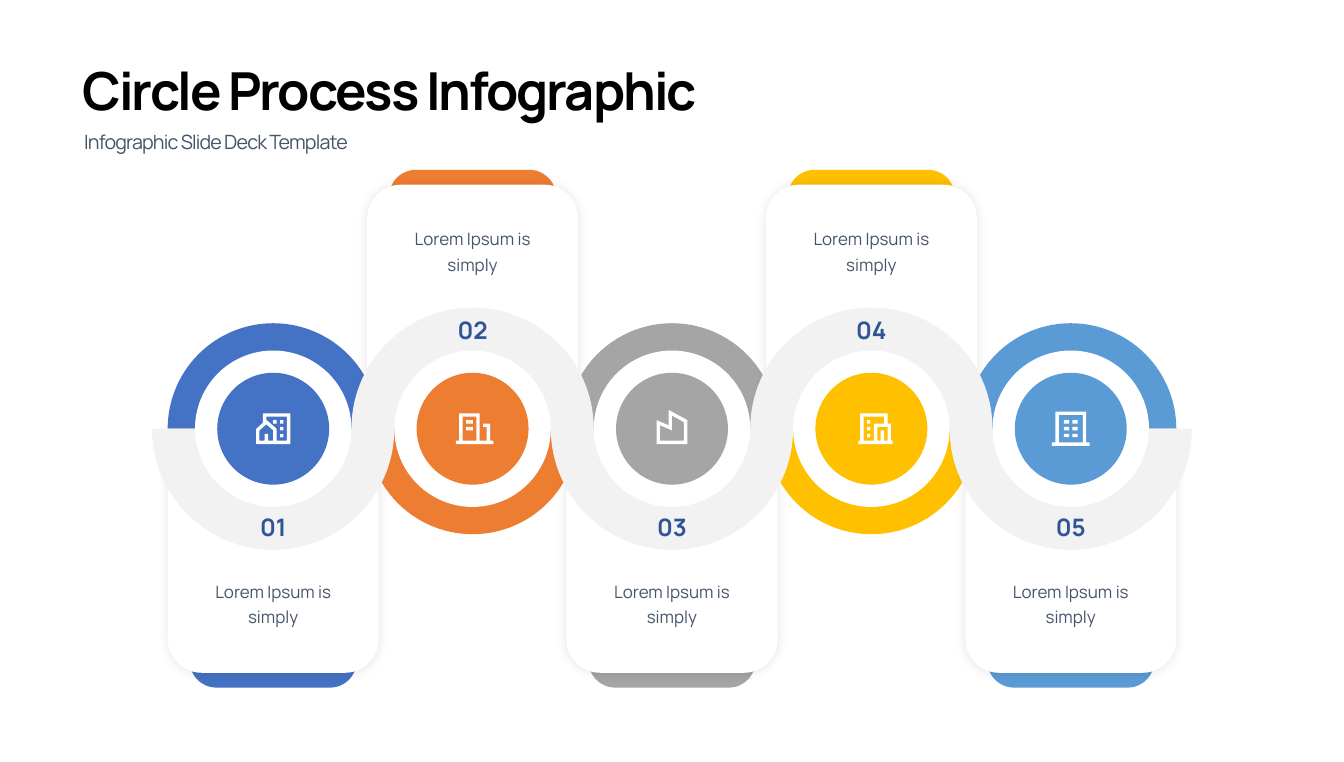
from math import cos, pi, sin

from lxml import etree
from pptx import Presentation
from pptx.dml.color import RGBColor
from pptx.enum.shapes import MSO_SHAPE
from pptx.enum.text import MSO_ANCHOR, MSO_AUTO_SIZE, PP_ALIGN
from pptx.oxml.ns import qn
from pptx.util import Cm, Pt

TOP, MIDDLE = MSO_ANCHOR.TOP, MSO_ANCHOR.MIDDLE
LEFT, CENTER = PP_ALIGN.LEFT, PP_ALIGN.CENTER
OVAL, CHORD = MSO_SHAPE.OVAL, MSO_SHAPE.CHORD
ROUND_TOP = MSO_SHAPE.ROUND_2_SAME_RECTANGLE
NO_FIT = MSO_AUTO_SIZE.NONE

BLACK = RGBColor(0x00, 0x00, 0x00)
WHITE = RGBColor(0xFF, 0xFF, 0xFF)
SLATE = RGBColor(0x44, 0x54, 0x6A)
NAVY = RGBColor(0x2F, 0x55, 0x97)
LIGHT = RGBColor(0xF2, 0xF2, 0xF2)
BLUE = RGBColor(0x44, 0x72, 0xC4)
ORANGE = RGBColor(0xED, 0x7D, 0x31)
GRAY = RGBColor(0xA5, 0xA5, 0xA5)
GOLD = RGBColor(0xFF, 0xC0, 0x00)
SKY = RGBColor(0x5B, 0x9B, 0xD5)
COLORS = [BLUE, ORANGE, GRAY, GOLD, SKY]

# Distances in cm
SLIDE_W, SLIDE_H = 67, 38
CY = 21.38
OUTER, INNER, DISC = 6.04, 3.9, 2.79
PITCH = OUTER + INNER
CARD_W, CARD_H, CARD_RADIUS = 10.52, 12.17, 1.68
TAB_W, TAB_H, TAB_RADIUS, TAB_EDGE = 8.32, 3, 1.33, 0.74
NUMBER_W, NUMBER_H, NUMBER_OFFSET = 3.64, 1.45, 4.92
LABEL_W, LABEL_H = 7.54, 2.74
ICON_UNIT = 2.05 / 24

# Icon outlines on a 24-unit grid; windows are (left, top, width) and 2 high
HOME = [[(21.7, 21), (2.3, 21), (2, 20.7), (2, 12.2), (6, 8.54), (6, 3.3), (6.3, 3),
         (21.7, 3), (22, 3.3), (22, 20.7)],
        [(9, 19), (12, 19), (12, 12.94), (8, 9.45), (4, 12.94), (4, 19), (7, 19),
         (7, 15), (9, 15)],
        [(14, 19), (20, 19), (20, 5), (8, 5), (8, 7.13), (8.66, 7.37), (13.66, 11.73),
         (14, 12.49)]]
ANNEX = [[(21, 19), (23, 19), (23, 21), (1, 21), (1, 19), (3, 19), (3, 3.3), (3.3, 3),
          (14.7, 3), (15, 3.3), (15, 19), (19, 19), (19, 11), (17, 11), (17, 9),
          (20.7, 9), (21, 9.3)],
         [(5, 5), (5, 19), (13, 19), (13, 5)]]
FACTORY = [[(10, 10), (10, 1), (21, 7), (21, 21), (3, 21), (3, 7)],
           [(12, 4.35), (12, 13), (5, 10), (5, 19), (19, 19), (19, 8.18)]]
SHOP = [[(22, 21), (2, 21), (2, 19), (3, 19), (3, 3.3), (3.3, 3), (18.7, 3), (19, 3.3),
         (19, 9), (21, 9), (21, 19), (22, 19)],
        [(17, 19), (19, 19), (19, 11), (13, 11), (13, 19), (15, 19), (15, 13), (17, 13)],
        [(17, 9), (17, 5), (5, 5), (5, 19), (11, 19), (11, 9)]]
TOWER = [[(21, 20), (23, 20), (23, 22), (1, 22), (1, 20), (3, 20), (3, 2.3), (3.3, 2),
          (20.7, 2), (21, 2.3)],
         [(19, 20), (19, 4), (5, 4), (5, 20)]]
# Outlines, windows, shift to the right of the disc centre
ICONS = [
    (HOME, [(16, 7, 2), (16, 11, 2), (16, 15, 2), (12, 7, 2)], 0),
    (ANNEX, [(7, 7, 4), (7, 11, 4)], 0.1),
    (FACTORY, [], 0),
    (SHOP, [(7, 7, 2), (7, 11, 2), (7, 15, 2)], 0.21),
    (TOWER, [(x, y, 3) for x in (8, 13) for y in (7, 11, 15)], 0),
]


def paint(s, color):
    s.shadow.inherit = False
    s.fill.solid()
    s.fill.fore_color.rgb = color
    s.line.fill.background()


def write(s, text, size, color, align=CENTER, anchor=TOP, bold=False, line=None, spacing=0):
    tf = s.text_frame
    tf.word_wrap = True
    tf.auto_size = NO_FIT
    tf.vertical_anchor = anchor
    p = tf.paragraphs[0]
    p.alignment = align
    p.space_before = Pt(0)
    if line:
        p.line_spacing = Pt(line)
    r = p.add_run()
    r.text = text
    r.font.name = "Manrope"
    r.font.size = Pt(size)
    r.font.bold = bold
    r.font.color.rgb = color
    if spacing:
        r.font._element.set("spc", str(round(spacing * 100)))


prs = Presentation()
prs.slide_width, prs.slide_height = Cm(SLIDE_W), Cm(SLIDE_H)
slide = prs.slides.add_slide(prs.slide_layouts[0])
shapes = slide.shapes

title, subtitle = slide.placeholders
title.left, title.top, title.width, title.height = Cm(3.86), Cm(2.59), Cm(51.4), Cm(3.5)
write(title, "Circle Process Infographic", 74, BLACK, LEFT, bold=True, line=94, spacing=-2.9)
subtitle.left, subtitle.top, subtitle.width, subtitle.height = Cm(3.94), Cm(6.02), Cm(48.9), Cm(1.65)
write(subtitle, "Infographic Slide Deck Template", 27.8, SLATE, LEFT, line=42, spacing=-1.2)

outlines = []
upper_edge, lower_edge = [], []
for i, (color, (icon, windows, shift)) in enumerate(zip(COLORS, ICONS)):
    cx = SLIDE_W / 2 + (i - 2) * PITCH
    below = i % 2 == 0
    side = 1 if below else -1

    # Card with its coloured tab, both rounded on the far side
    card_top = CY if below else CY - CARD_H
    tab_top = CY + CARD_H + TAB_EDGE - TAB_H if below else CY - CARD_H - TAB_EDGE
    for w, h, top, radius, fill in ((TAB_W, TAB_H, tab_top, TAB_RADIUS, color),
                                    (CARD_W, CARD_H, card_top, CARD_RADIUS, WHITE)):
        s = shapes.add_shape(ROUND_TOP, Cm(cx - w / 2), Cm(top), Cm(w), Cm(h))
        s.adjustments[0] = radius / min(w, h)
        s.rotation = 180 if below else 0
        paint(s, fill)
    effects = s._element.spPr.find(qn("a:effectLst"))
    shadow = etree.SubElement(effects, qn("a:outerShdw"), blurRad=str(Pt(15)), dist="0", dir="0")
    tint = etree.SubElement(shadow, qn("a:srgbClr"), val="000000")
    etree.SubElement(tint, qn("a:alpha"), val="10000")

    # Half ring opposite the card, then the white ring and the coloured disc
    for kind, radius, fill in ((CHORD, CARD_W / 2, color), (OVAL, INNER, WHITE), (OVAL, DISC, color)):
        s = shapes.add_shape(kind, Cm(cx - radius), Cm(CY - radius), Cm(2 * radius), Cm(2 * radius))
        if kind == CHORD:
            s.adjustments[0], s.adjustments[1] = (108, 0) if below else (0, 108)
        paint(s, fill)

    # Ribbon edges swing below even steps and above odd ones
    for edge, radius in ((upper_edge, INNER if below else OUTER),
                         (lower_edge, OUTER if below else INNER)):
        for k in range(61):
            angle = pi * k / 60
            edge.append((cx - radius * cos(angle), CY + side * radius * sin(angle)))

    panes = [[(x, y), (x + w, y), (x + w, y + 2), (x, y + 2)] for x, y, w in windows]
    outlines.append((WHITE, [[(cx + shift + (x - 12) * ICON_UNIT, CY + (y - 12) * ICON_UNIT)
                              for x, y in contour] for contour in icon + panes]))

outlines.insert(0, (LIGHT, [upper_edge + lower_edge[::-1]]))
for color, contours in outlines:
    start, *rest = [(Cm(x), Cm(y)) for x, y in contours[0]]
    fb = shapes.build_freeform(*start)
    fb.add_line_segments(rest, close=True)
    for contour in contours[1:]:
        start, *rest = [(Cm(x), Cm(y)) for x, y in contour]
        fb.move_to(*start)
        fb.add_line_segments(rest, close=True)
    paint(fb.convert_to_shape(), color)

for i in range(len(COLORS)):
    cx = SLIDE_W / 2 + (i - 2) * PITCH
    side = 1 if i % 2 == 0 else -1
    number_y = CY + side * NUMBER_OFFSET - NUMBER_H / 2
    s = shapes.add_textbox(Cm(cx - NUMBER_W / 2), Cm(number_y), Cm(NUMBER_W), Cm(NUMBER_H))
    tf = s.text_frame
    tf.margin_left = tf.margin_right = tf.margin_top = tf.margin_bottom = 0
    write(s, f"{i + 1:02}", 34, NAVY, anchor=MIDDLE, bold=True)

    label_y = 28.6 if side > 0 else 11.02
    s = shapes.add_textbox(Cm(cx - LABEL_W / 2), Cm(label_y), Cm(LABEL_W), Cm(LABEL_H))
    s.text_frame.margin_left = s.text_frame.margin_right = 0
    write(s, "Lorem Ipsum is simply", 24, SLATE, line=36)

prs.save("out.pptx")
